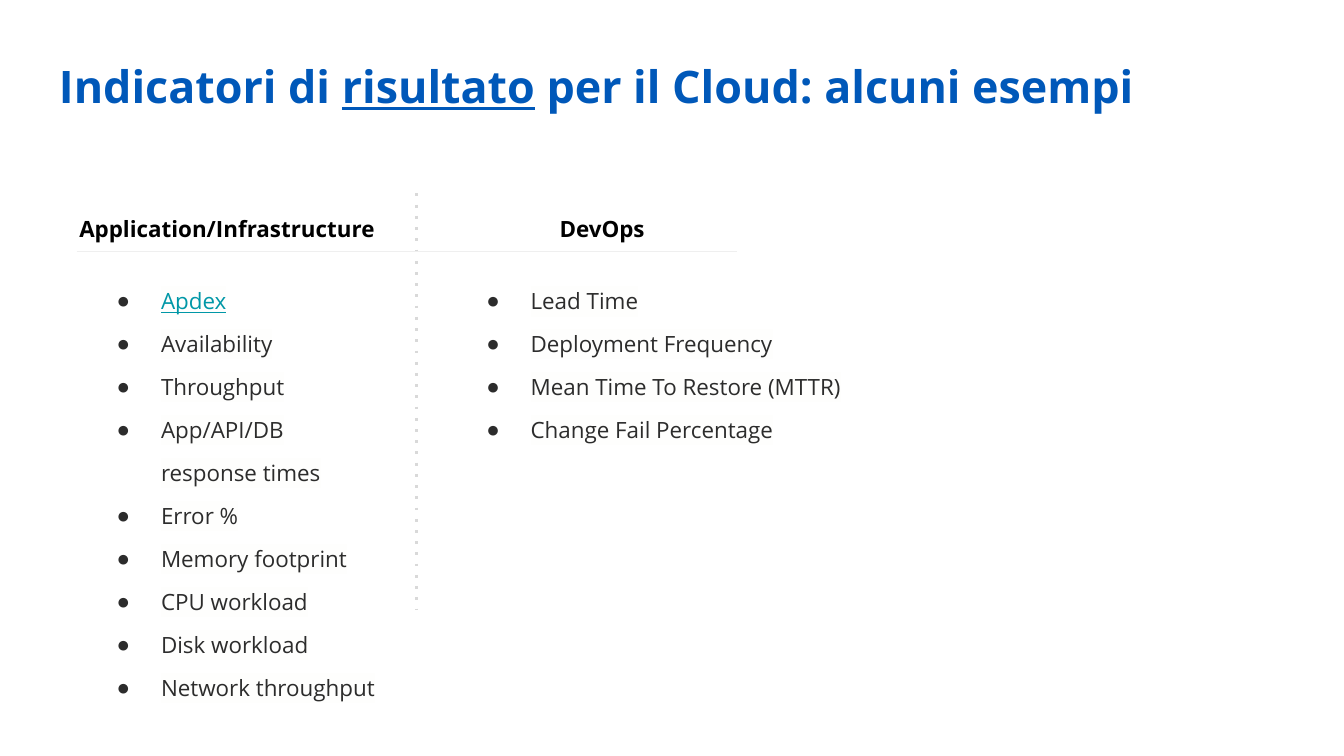
from lxml import etree
from pptx import Presentation
from pptx.dml.color import RGBColor
from pptx.enum.shapes import MSO_CONNECTOR
from pptx.enum.text import MSO_ANCHOR, PP_ALIGN
from pptx.oxml.ns import qn
from pptx.util import Inches, Pt

CENTER, LEFT = PP_ALIGN.CENTER, PP_ALIGN.LEFT
TOP = MSO_ANCHOR.TOP
STRAIGHT = MSO_CONNECTOR.STRAIGHT
BLUE, TEAL, BLACK, INK = "0058B9", "0097A7", "000000", "2C2C2C"
DOT_GREY, RULE_GREY, HIGHLIGHT = "D9D9D9", "EFEFEF", "FEFEFD"

HEADER_ROW, HEADER_ROWS = 14, 6.3
LIST_ROW, LIST_ROWS = 19.2, 27.1
COLUMNS = [
    {
        "header": ("Application/Infrastructure", 4.2, 25.4),
        "list": (6, 24.3),
        "space": 3,
        "items": ["Apdex", "Availability", "Throughput", "App/API/DB\nresponse times",
                  "Error %", "Memory footprint", "CPU workload", "Disk workload",
                  "Network throughput"],
    },
    {
        "header": ("DevOps", 34.7, 20.2),
        "list": (33.5, 30.7),
        "space": 6,
        "items": ["Lead Time", "Deployment Frequency", "Mean Time To Restore (MTTR)",
                  "Change Fail Percentage"],
    },
]


def color(value):
    return RGBColor.from_string(value)


class SlideBuilder:
    """Draws styled elements on one slide, placed on a grid of 0.1 inch cells."""

    font = "Open Sans"
    bullet_font = "Arial"
    cell = 0.1

    def __init__(self, deck):
        self.slide = deck.slides.add_slide(deck.slide_layouts[6])

    def units(self, *cells):
        return [Inches(count * self.cell) for count in cells]

    def text_box(self, column, row, columns, rows):
        box = self.slide.shapes.add_textbox(*self.units(column, row, columns, rows))
        frame = box.text_frame
        frame.word_wrap = True
        frame.vertical_anchor = TOP
        frame.margin_left = frame.margin_right = Inches(0.1)
        frame.margin_top = frame.margin_bottom = Inches(0.1)
        return frame

    def span(self, para, text, size, ink, bold=False, underline=False, highlight=None):
        for index, part in enumerate(text.split("\n")):
            if index:
                para.add_line_break()
            span = para.add_run()
            span.text = part
            span.font.name = self.font
            span.font.size = Pt(size)
            span.font.bold = bold
            span.font.underline = underline
            span.font.color.rgb = color(ink)
            if highlight:
                marker = etree.Element(qn("a:highlight"))
                etree.SubElement(marker, qn("a:srgbClr"), val=highlight)
                span._r.rPr.find(qn("a:solidFill")).addnext(marker)

    def title(self, spans):
        para = self.text_box(3.4, 3.4, 93.2, 6.3).paragraphs[0]
        para.alignment = LEFT
        for text, underline in spans:
            self.span(para, text, 24, BLUE, bold=True, underline=underline)

    def header(self, text, column, columns):
        para = self.text_box(column, HEADER_ROW, columns, HEADER_ROWS).paragraphs[0]
        para.alignment = CENTER
        para.line_spacing = 1.5
        self.span(para, text, 12, BLACK, bold=True)

    def bullet(self, para):
        properties = para._p.get_or_add_pPr()
        properties.set("marL", str(Inches(0.5)))
        properties.set("indent", str(-Inches(0.33)))
        fill = etree.SubElement(properties, qn("a:buClr"))
        etree.SubElement(fill, qn("a:srgbClr"), val=INK)
        etree.SubElement(properties, qn("a:buFont"), typeface=self.bullet_font)
        etree.SubElement(properties, qn("a:buChar"), char="●")

    def bullet_list(self, items, column, columns, space):
        frame = self.text_box(column, LIST_ROW, columns, LIST_ROWS)
        for index, item in enumerate(items):
            para = frame.add_paragraph() if index else frame.paragraphs[0]
            para.line_spacing = 1.6
            para.space_before = Pt(0 if index else space)
            self.bullet(para)
            linked = item == "Apdex"
            self.span(para, item, 12, TEAL if linked else INK,
                      underline=linked, highlight=HIGHLIGHT)

    def line(self, start, end, ink, width, dash="solid"):
        line = self.slide.shapes.add_connector(STRAIGHT, *self.units(*start, *end))
        line.line.color.rgb = color(ink)
        line.line.width = Pt(width)
        outline = line._element.spPr.find(qn("a:ln"))
        etree.SubElement(outline, qn("a:prstDash"), val=dash)
        etree.SubElement(line._element.spPr, qn("a:effectLst"))


def main():
    deck = Presentation()
    deck.slide_width = Inches(10)
    deck.slide_height = deck.slide_width * 9 // 16
    page = SlideBuilder(deck)
    page.title([("Indicatori di ", False), ("risultato", True),
                (" per il Cloud: alcuni esempi", False)])
    for column in COLUMNS:
        page.header(*column["header"])
        page.bullet_list(column["items"], *column["list"], column["space"])
    page.line((31, 14.4), (31, 45.4), DOT_GREY, 1.5, "dot")
    page.line((5.7, 18.7), (54.8, 18.7), RULE_GREY, 0.75)
    deck.save("out.pptx")


if __name__ == "__main__":
    main()
